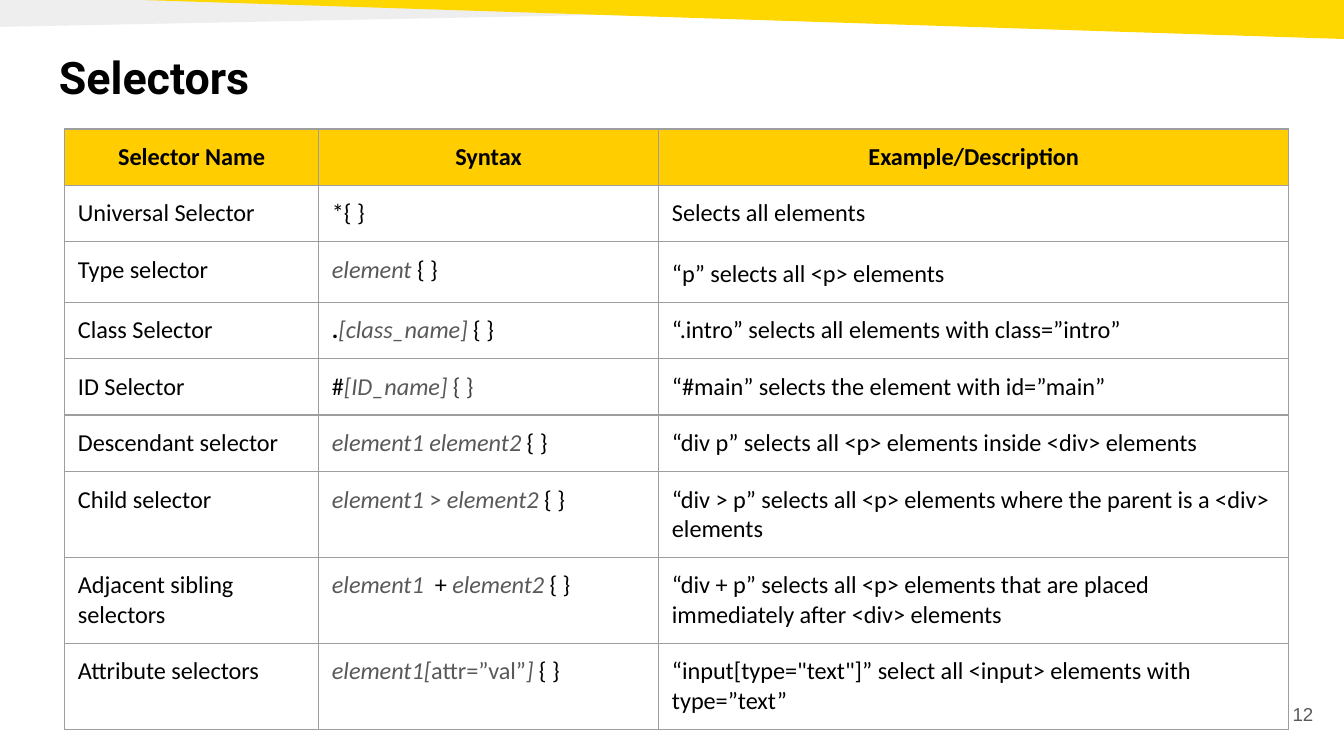
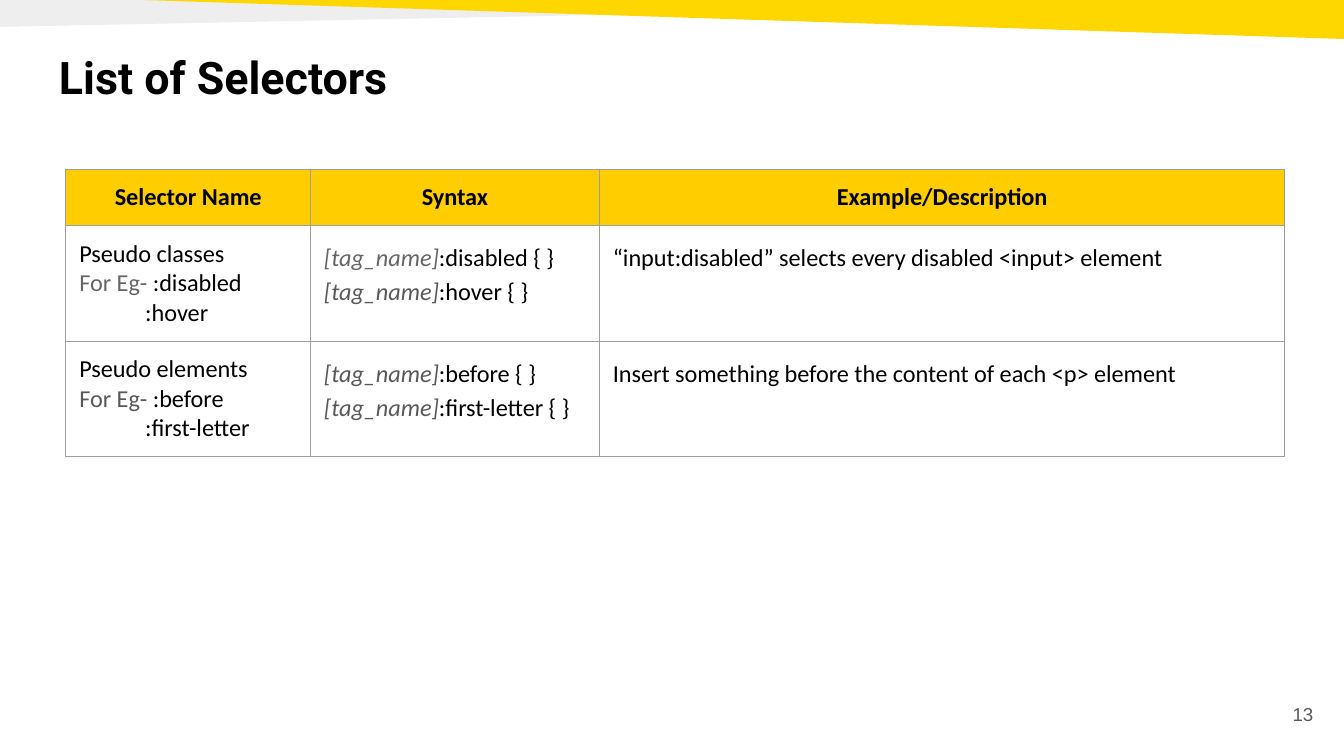
from lxml.etree import SubElement as Sub
from pptx import Presentation
from pptx.dml.color import RGBColor as RGB
from pptx.enum.shapes import MSO_SHAPE as Shape
from pptx.enum.text import MSO_ANCHOR as Anchor, PP_ALIGN as Align
from pptx.oxml.ns import qn
from pptx.util import Inches, Pt

GRAY, DIM, DARK = "595959", "666666", "434343"
VAR = dict(color=GRAY, italic=True)
SOFT = dict(color=GRAY)
TITLE = dict(name="Roboto", size=Pt(24), bold=True, color="000000")
BODY = dict(name="Calibri", size=Pt(13), bold=False, color="000000")
HEAD = BODY | dict(bold=True)
PAGE = dict(name="Arial", size=Pt(10), bold=False, color=GRAY)
PAD = Inches(0.1)
BANDS = [(0, 10, 0.2, "EEEEEE", True), (1.06, 8.94, 0.29, "FFD700", False)]
NAMES = ["Selector Name", "Syntax", "Example/Description"]

SLIDES = [
    dict(
        title="Selectors", page=12, left=0.48, top=0.96,
        cols=[1.89, 2.53, 4.69],
        rows=[0.42, 0.42, 0.45, 0.42, 0.42, 0.42, 0.64, 0.64, 0.64],
        loose={(2, 2)},
        cells=[
            ["Universal Selector", "*{ }", "Selects all elements"],
            ["Type selector", [[("element ", VAR), "{ }"]],
             "“p” selects all <p> elements"],
            ["Class Selector",
             [[(".", dict(bold=True)), ("[class_name] ", VAR), "{ }"]],
             "“.intro” selects all elements with class=”intro”"],
            ["ID Selector",
             [["#", ("[ID_name] ", VAR), ("{ }", dict(color=DARK))]],
             "“#main” selects the element with id=”main”"],
            ["Descendant selector", [[("element1 element2", VAR), " { }"]],
             "“div p” selects all <p> elements inside <div> elements"],
            ["Child selector",
             [[("element1 ", VAR), ("> ", SOFT), ("element2", VAR), " { }"]],
             "“div > p” selects all <p> elements where the parent is a <div> elements"],
            ["Adjacent sibling selectors",
             [[("element1 ", VAR), " + ", ("element2", VAR), " { }"]],
             "“div + p” selects all <p> elements that are placed immediately after <div> elements"],
            ["Attribute selectors",
             [[("element1[", VAR), ("attr=”val”", SOFT), ("] ", VAR), "{ }"]],
             "“input[type=\"text\"]” select all <input> elements with type=”text”"],
        ],
    ),
    dict(
        title="List of Selectors", page=13, left=0.49, top=1.26,
        cols=[1.82, 2.15, 5.1], rows=[0.42, 0.86, 0.86],
        loose={(1, 1), (1, 2), (2, 1), (2, 2)},
        cells=[
            [[["Pseudo classes"], [("For Eg-", dict(color=DIM)), " :disabled"],
              ["\t:hover"]],
             [[("[tag_name]", VAR | dict(color=DIM)), ":disabled { }"],
              [("[tag_name]", VAR), ":hover { }"]],
             "“input:disabled” selects every disabled <input> element"],
            [[["Pseudo elements"], [("For Eg-", SOFT), " :before"],
              ["\t:first-letter"]],
             [[("[tag_name]", VAR), ":before { }"],
              [("[tag_name]", VAR), ":first-letter { }"]],
             "Insert something before the content of each <p> element"],
        ],
    ),
]


def rgb(code):
    return RGB.from_string(code)


def write(frame, text, base, align=Align.LEFT, space=None):
    paras = [[text]] if isinstance(text, str) else text
    for n, runs in enumerate(paras):
        para = frame.add_paragraph() if n else frame.paragraphs[0]
        para.alignment = align
        if space:
            para.line_spacing = space
        for part in runs:
            words, style = (part, {}) if isinstance(part, str) else part
            if words.startswith("\t"):
                words = words[1:]
                props = para._p.get_or_add_pPr()
                props.set("marL", str(Inches(0.49)))
                props.set("indent", "0")
            run = para.add_run()
            run.text = words
            for key, val in (base | style).items():
                if key == "color":
                    run.font.color.rgb = rgb(val)
                else:
                    setattr(run.font, key, val)


deck = Presentation()
deck.slide_width = Inches(10)
deck.slide_height = Inches(10) * 9 // 16

for plan in SLIDES:
    slide = deck.slides.add_slide(deck.slide_layouts[6])

    for left, wide, high, hue, flip in BANDS:
        band = slide.shapes.add_shape(
            Shape.RIGHT_TRIANGLE, Inches(left), 0, Inches(wide), Inches(high))
        band.rotation = 180
        band.shadow.inherit = False
        band.fill.solid()
        band.fill.fore_color.rgb = rgb(hue)
        band.line.fill.background()
        if flip:
            band._element.spPr.find(qn("a:xfrm")).set("flipH", "1")

    texts = [
        ((9.27, 5.1, 0.6, 0.43), str(plan["page"]), PAGE, Align.RIGHT, Anchor.MIDDLE),
        ((0.34, 0.27, 9.32, 1), plan["title"], TITLE, Align.LEFT, Anchor.TOP),
    ]
    for spot, text, font, align, anchor in texts:
        frame = slide.shapes.add_textbox(*map(Inches, spot)).text_frame
        form = dict(word_wrap=True, vertical_anchor=anchor, margin_left=PAD,
                    margin_right=PAD, margin_top=PAD, margin_bottom=PAD)
        for key, val in form.items():
            setattr(frame, key, val)
        write(frame, text, font, align)

    cols, rows = plan["cols"], plan["rows"]
    table = slide.shapes.add_table(
        len(rows), len(cols), Inches(plan["left"]), Inches(plan["top"]),
        Inches(sum(cols)), Inches(sum(rows))).table
    table.horz_banding = False
    for col, wide in zip(table.columns, cols):
        col.width = Inches(wide)
    for row, high in zip(table.rows, rows):
        row.height = Inches(high)

    for r, line in enumerate([NAMES] + plan["cells"]):
        for c, text in enumerate(line):
            cell = table.cell(r, c)
            for side in ("left", "right", "top", "bottom"):
                setattr(cell, "margin_" + side, PAD)
            props = cell._tc.get_or_add_tcPr()
            for tag in ("a:lnL", "a:lnR", "a:lnT", "a:lnB"):
                edge = Sub(props, qn(tag), w=str(Pt(0.75)))
                Sub(Sub(edge, qn("a:solidFill")), qn("a:srgbClr"), val="9E9E9E")
            if r == 0:
                cell.fill.solid()
                cell.fill.fore_color.rgb = rgb("FFCD00")
                write(cell.text_frame, text, HEAD, Align.CENTER)
            else:
                cell.fill.background()
                space = 1.15 if (r, c) in plan["loose"] else None
                write(cell.text_frame, text, BODY, space=space)

deck.save("out.pptx")
